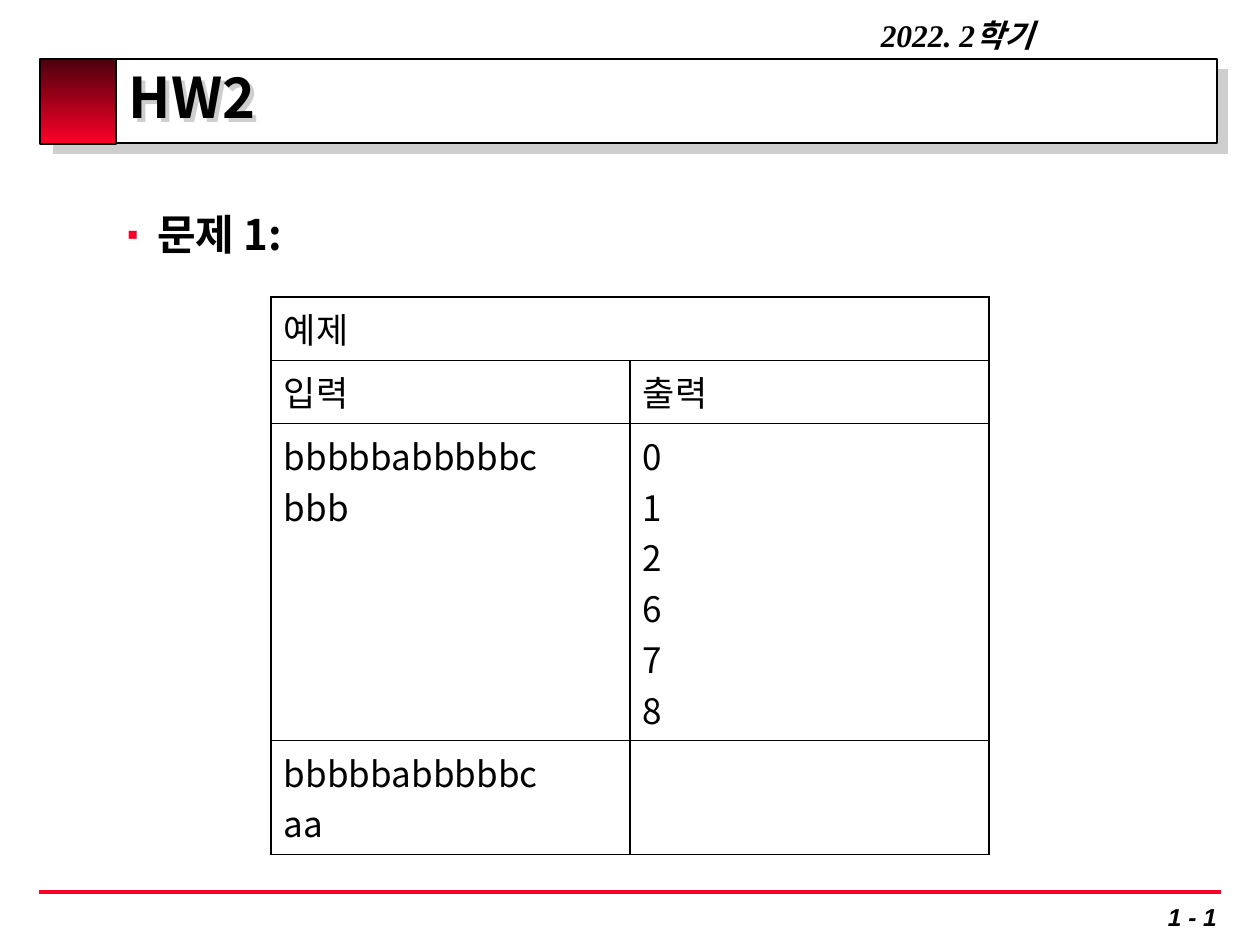
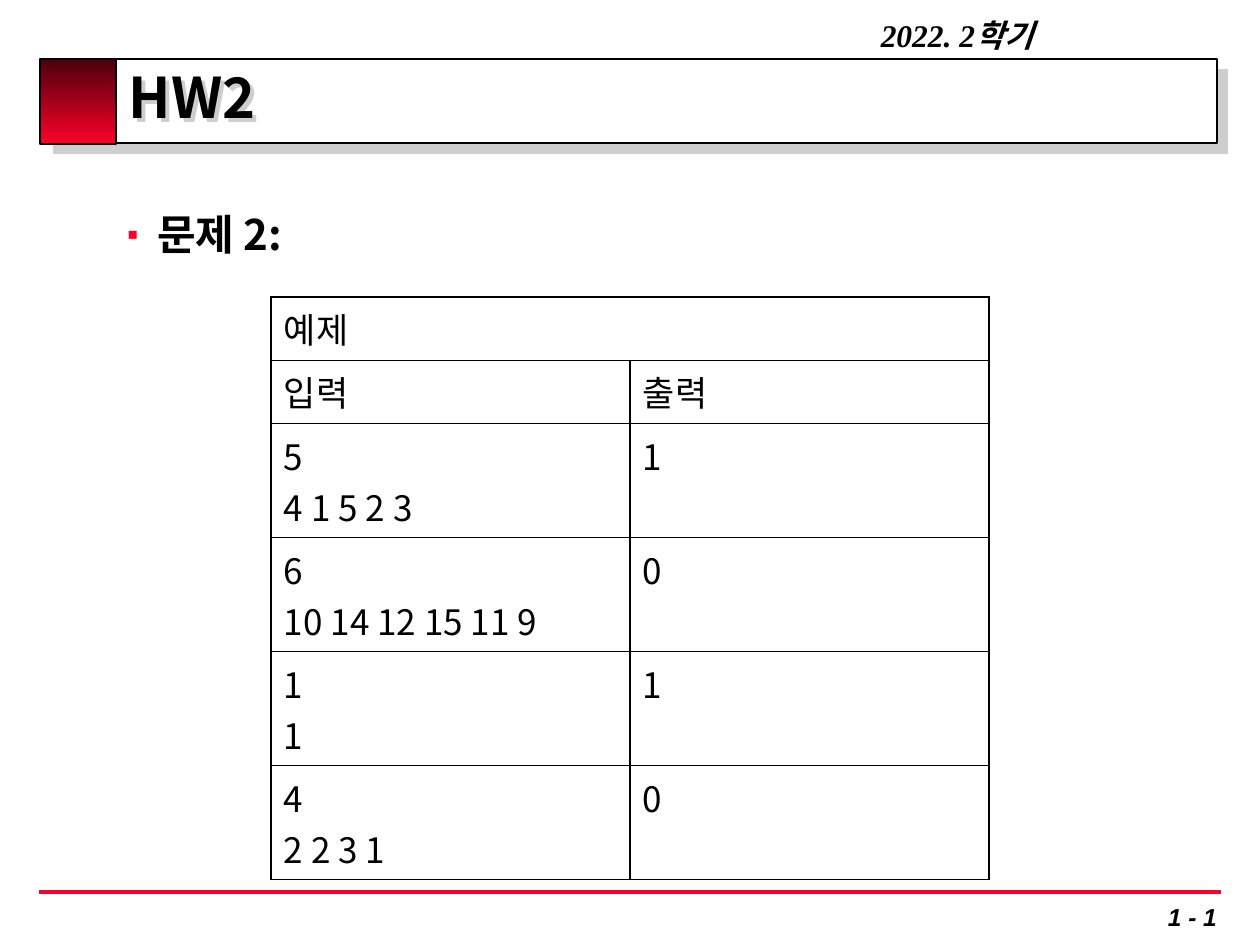
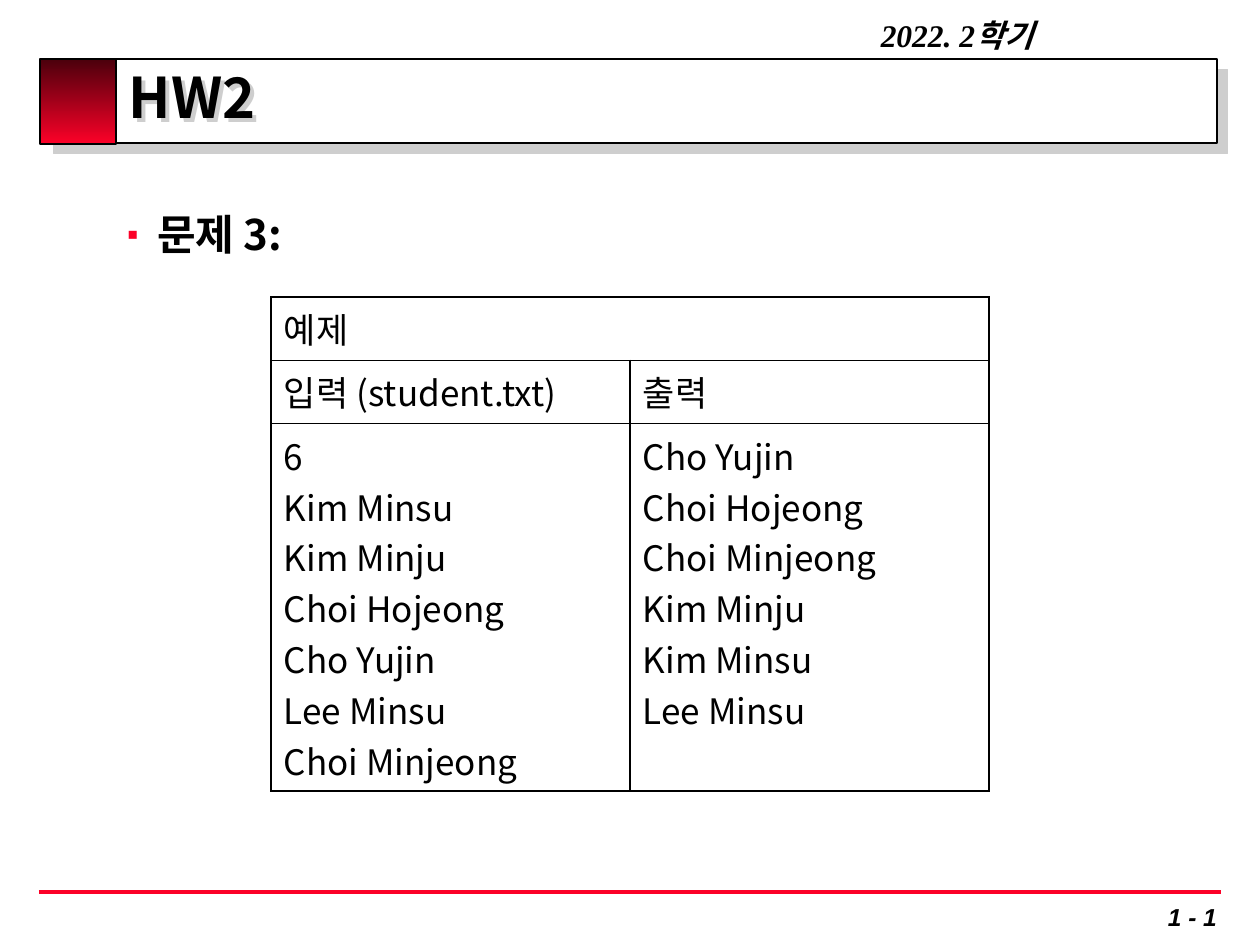
from pptx import Presentation
from pptx.dml.color import RGBColor
from pptx.enum.shapes import MSO_CONNECTOR as CONN, MSO_SHAPE as SHAPE
from pptx.enum.text import MSO_ANCHOR as ANCHOR, PP_ALIGN as ALIGN
from pptx.oxml import parse_xml
from pptx.oxml.ns import nsdecls, qn
from pptx.util import Emu, Pt
from lxml import etree

# Content: heading, then table rows of (input lines, output lines)
TITLE, TERM, PAGE = "HW2", "2022. 2학기", "1 - 1"
CAPTION = "예제"
PROBLEMS = [
    ("문제 1:", [
        (["입력"], ["출력"]),
        (["bbbbbabbbbbc", "bbb"], ["0", "1", "2", "6", "7", "8"]),
        (["bbbbbabbbbbc", "aa"], []),
    ]),
    ("문제 2:", [
        (["입력"], ["출력"]),
        (["5", "4 1 5 2 3"], ["1"]),
        (["6", "10 14 12 15 11 9"], ["0"]),
        (["1", "1"], ["1"]),
        (["4", "2 2 3 1"], ["0"]),
    ]),
    ("문제 3:", [
        (["입력 (student.txt)"], ["출력"]),
        (["6", "Kim Minsu", "Kim Minju", "Choi Hojeong", "Cho Yujin",
          "Lee Minsu", "Choi Minjeong"],
         ["Cho Yujin", "Choi Hojeong", "Choi Minjeong", "Kim Minju",
          "Kim Minsu", "Lee Minsu"]),
    ]),
]

# Shared look
BLACK, WHITE, RED, DARK_RED, GRAY = "000000", "FFFFFF", "FC0128", "4B000C", "CECECE"
SANS = "Noto Sans CJK KR"
TITLE_FONT = dict(name=SANS, size=Pt(32), bold=True)
HEAD_FONT = dict(name=SANS, size=Pt(24), bold=True)
CELL_FONT = dict(name=SANS, size=Pt(20), bold=False)
TERM_FONT = dict(name="Times New Roman", size=Pt(18), bold=True, italic=True)
PAGE_FONT = dict(name="Arial", size=Pt(14), bold=True, italic=True)
PAD_X, PAD_Y = 13, 6
LINE_H, COL_W = 50.7, 359


def px(n):
    return Emu(round(n * 914400 / 126))


def rgb(color):
    return RGBColor.from_string(color)


def write(p, text, fmt):
    r = p.add_run()
    r.text = text
    for key, value in fmt.items():
        setattr(r.font, key, value)
    r.font.color.rgb = rgb(BLACK)
    etree.SubElement(r.font._element, qn("a:ea")).set("typeface", SANS)


def frame(tf, top=PAD_Y, bottom=PAD_Y, anchor=ANCHOR.TOP, wrap=True):
    values = dict(margin_left=px(PAD_X), margin_right=px(PAD_X), margin_top=px(top),
                  margin_bottom=px(bottom), vertical_anchor=anchor, word_wrap=wrap)
    for key, value in values.items():
        setattr(tf, key, value)
    return tf.paragraphs[0]


def add_text(s, box, text, fmt, align=ALIGN.LEFT, **kw):
    sp = s.shapes.add_textbox(*map(px, box))
    p = frame(sp.text_frame, **kw)
    p.alignment = align
    write(p, text, fmt)
    return sp


def add_effects(sp, dist=None):
    """Give a shape a hard grey shadow, or an empty effect list."""
    shadow = "" if dist is None else (
        f'<a:outerShdw blurRad="0" dist="{Pt(dist)}" dir="2700000" algn="ctr" '
        f'rotWithShape="0"><a:srgbClr val="{GRAY}"/></a:outerShdw>')
    sp._element.spPr.append(parse_xml(
        f'<a:effectLst {nsdecls("a")}>{shadow}</a:effectLst>'))


def add_rect(s, box):
    sp = s.shapes.add_shape(SHAPE.RECTANGLE, *map(px, box))
    sp.line.color.rgb, sp.line.width = rgb(BLACK), Pt(1)
    return sp


def add_frame_parts(s):
    """Title band, red block, footer rule and term."""
    band = add_rect(s, (43, 59, 1174, 84))
    band.fill.solid()
    band.fill.fore_color.rgb = rgb(WHITE)
    add_effects(band, 8.5)

    block = add_rect(s, (40, 59, 76, 85))
    block.shadow.inherit = False
    block.fill.gradient()
    block.fill.gradient_angle = 270
    for stop, color in zip(block.fill.gradient_stops, (DARK_RED, RED)):
        stop.color.rgb = rgb(color)

    rule = s.shapes.add_connector(CONN.STRAIGHT, px(39), px(892), px(1221), px(892))
    rule.line.color.rgb, rule.line.width = rgb(RED), Pt(2.25)
    add_effects(rule)

    term = add_text(s, (689, 16, 536, 50), TERM, TERM_FONT, ALIGN.CENTER,
                    top=0, bottom=0)
    return [band, block, rule, term]


def add_title(s):
    sp = s.shapes.title
    sp.left, sp.top, sp.width, sp.height = map(px, (116, 55, 1105, 95))
    p = frame(sp.text_frame, anchor=ANCHOR.MIDDLE)
    p.alignment, p.line_spacing = ALIGN.LEFT, 0.8
    write(p, TITLE, TITLE_FONT)
    sp.fill.background()
    add_effects(sp, 3)


def add_heading(s, text):
    sp = add_text(s, (105, 155, 1105, 725), text, HEAD_FONT, top=62)
    pPr = sp.text_frame.paragraphs[0]._p.get_or_add_pPr()
    pPr.set("marL", str(px(39)))
    pPr.set("indent", str(px(-39)))
    for xml in (f'<a:buClr {nsdecls("a")}><a:srgbClr val="{RED}"/></a:buClr>',
                f'<a:buSzPct {nsdecls("a")} val="70000"/>',
                f'<a:buFont {nsdecls("a")} typeface="{SANS}"/>',
                f'<a:buChar {nsdecls("a")} char="▪"/>'):
        pPr.append(parse_xml(xml))


def fill_cell(cell, lines):
    for i, line in enumerate(lines):
        tf = cell.text_frame
        write(tf.add_paragraph() if i else tf.paragraphs[0], line, CELL_FONT)


def style_cell(cell):
    cell.margin_left = cell.margin_right = px(PAD_X)
    cell.margin_top = cell.margin_bottom = px(PAD_Y)
    cell.fill.background()
    tcPr = cell._tc.get_or_add_tcPr()
    for i, side in enumerate("LRTB"):
        tcPr.insert(i, parse_xml(
            f'<a:ln{side} {nsdecls("a")} w="{Pt(1)}"><a:solidFill>'
            f'<a:srgbClr val="{BLACK}"/></a:solidFill></a:ln{side}>'))


def add_examples(s, pairs):
    rows = [([CAPTION], [])] + pairs
    heights = [LINE_H * max(map(len, row)) + 2 * PAD_Y + 0.6 for row in rows]
    table = s.shapes.add_table(len(rows), 2, px(271), px(297), px(2 * COL_W),
                               px(sum(heights))).table
    table.first_row = table.horz_banding = False
    for col in table.columns:
        col.width = px(COL_W)
    for r, (row, height) in enumerate(zip(rows, heights)):
        table.rows[r].height = px(height)
        for c, lines in enumerate(row):
            fill_cell(table.cell(r, c), lines)
            style_cell(table.cell(r, c))
    table.cell(0, 0).merge(table.cell(0, 1))


prs = Presentation()
prs.slide_width, prs.slide_height = px(1260), px(945)
layout = prs.slide_layouts[5]
slides = [prs.slides.add_slide(layout) for _ in PROBLEMS]

# The common parts live on the layout
for part in add_frame_parts(slides[0]):
    layout.shapes._spTree.append(part._element)

for s, (heading, pairs) in zip(slides, PROBLEMS):
    add_title(s)
    add_heading(s, heading)
    add_text(s, (1094, 896, 136, 42), PAGE, PAGE_FONT, ALIGN.RIGHT,
             anchor=ANCHOR.MIDDLE, wrap=False)
    add_examples(s, pairs)

prs.save("out.pptx")
